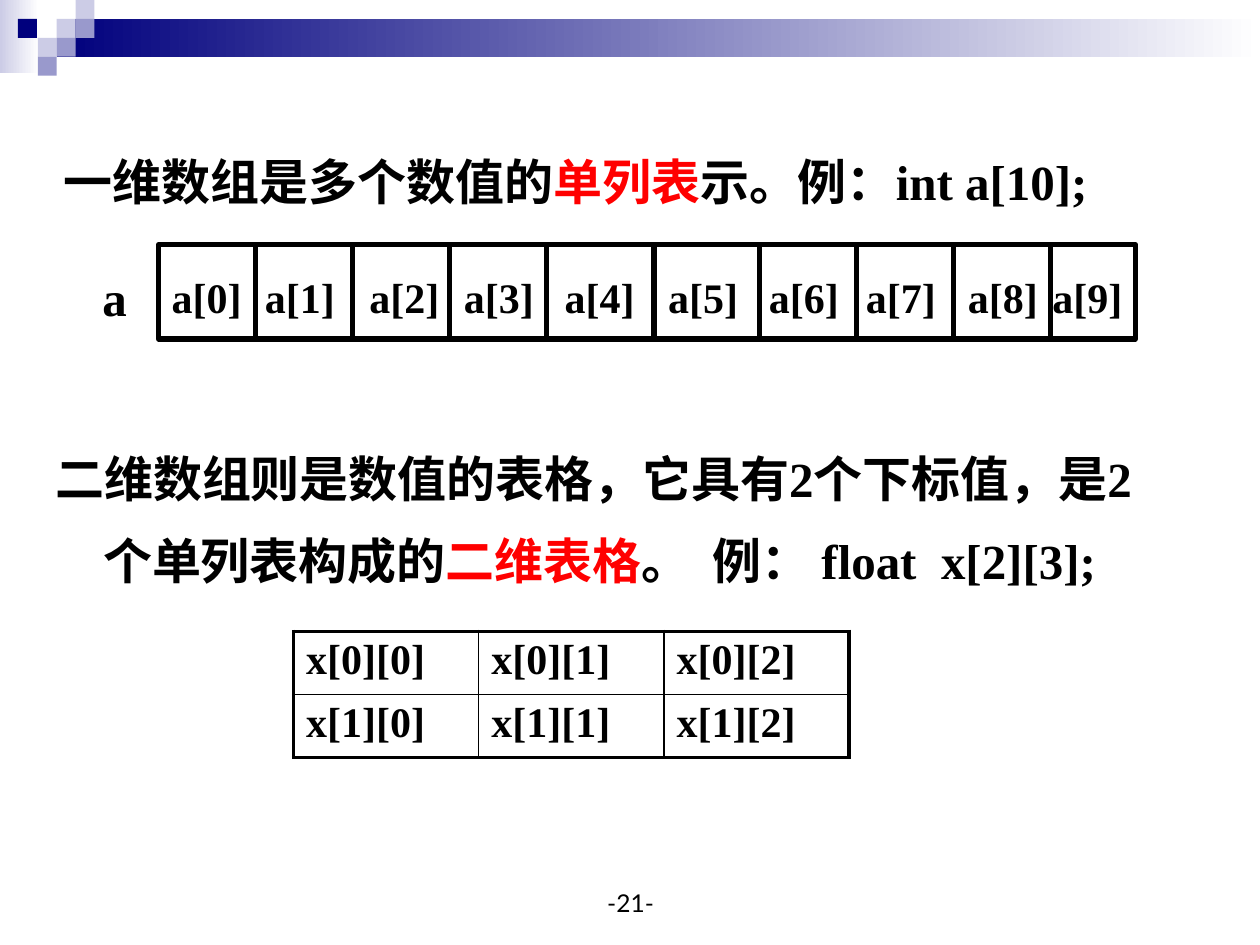
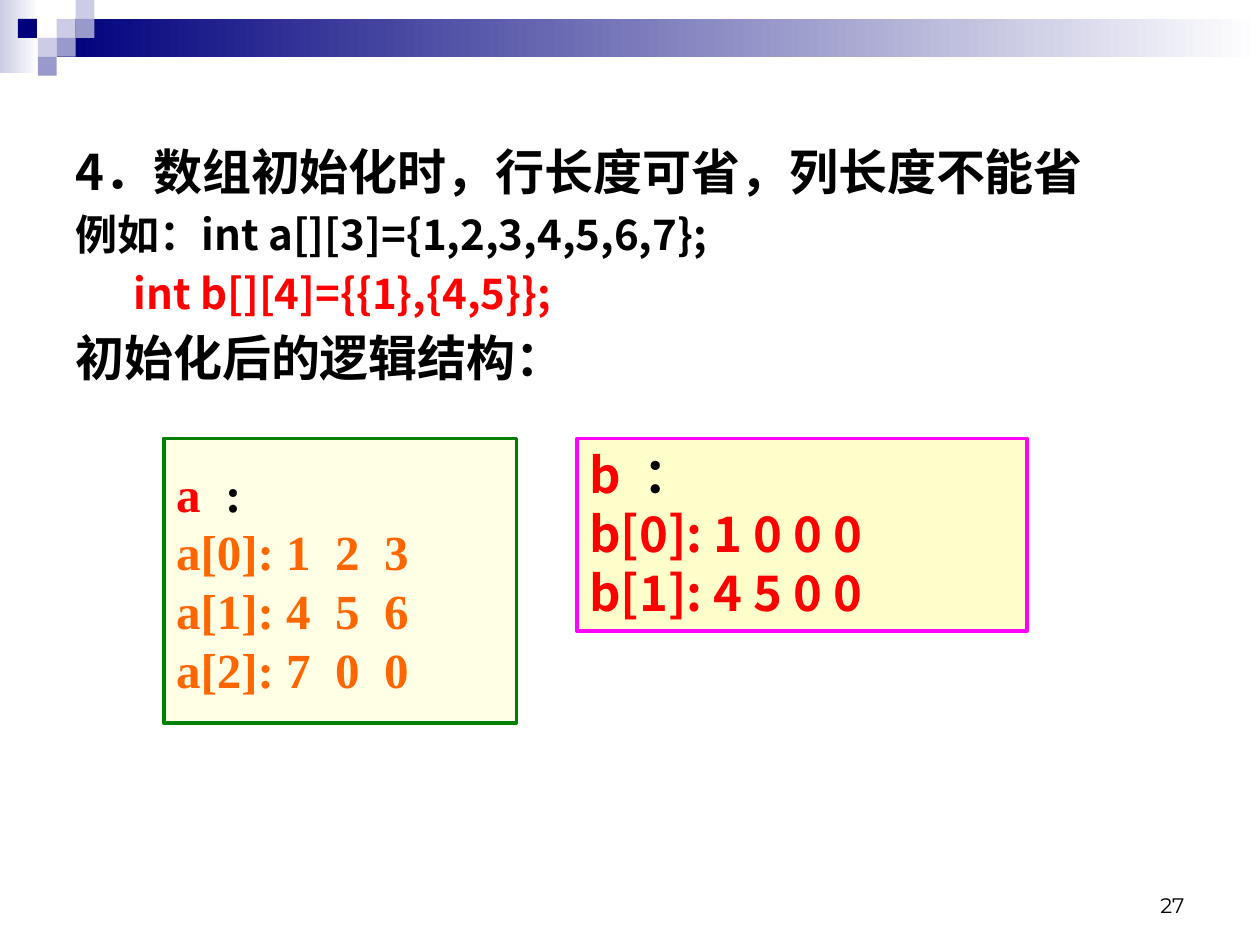
from itertools import accumulate

from lxml.etree import SubElement
from pptx import Presentation
from pptx.dml.color import RGBColor
from pptx.enum.shapes import MSO_CONNECTOR, MSO_SHAPE
from pptx.enum.text import MSO_ANCHOR, PP_ALIGN
from pptx.oxml.ns import qn
from pptx.util import Inches, Pt

BLACK = RGBColor(0, 0, 0)
WHITE = RGBColor(255, 255, 255)
RED = RGBColor(255, 0, 0)
ORANGE = RGBColor(255, 0x66, 0)
GREEN = RGBColor(0, 0x80, 0)
MAGENTA = RGBColor(255, 0, 255)
CREAM = RGBColor(255, 255, 0xCC)
YELLOW = RGBColor(255, 255, 0x99)
NAVY = RGBColor(0, 0, 0x7D)
LAVENDER = RGBColor(0xCC, 0xCC, 0xE6)
PERIWINKLE = RGBColor(0x99, 0x99, 0xCC)

SERIF, SANS = "Times New Roman", "Noto Sans CJK SC"

# The slide is a grid of 100 columns by 75 rows of square cells
COLS, ROWS = 100, 75
CELL = 0.1
TILE = 1.5
HANGING = (3.8, -3.8)


def grid(*values):
    return [Inches(v * CELL) for v in values]


# Text
def add_run(p, text, size=28, font=SERIF, color=BLACK, bold=True):
    r = p.add_run()
    r.text = text
    r.font.size, r.font.bold, r.font.name = Pt(size), bold, font
    r.font.color.rgb = color
    SubElement(r._r.get_or_add_rPr(), qn("a:ea")).set("typeface", SANS)


def add_text(tf, text, first=False, align=PP_ALIGN.LEFT, indent=None,
             spacing=None, before=0, **fmt):
    """Add a paragraph; text is a string or a list of (string, format) runs."""
    p = tf.paragraphs[0] if first else tf.add_paragraph()
    p.alignment = align
    if spacing:
        p.line_spacing = spacing
    p.space_before = Pt(before)
    if indent:
        left, hang = grid(*indent)
        pPr = p._p.get_or_add_pPr()
        pPr.set("marL", str(left))
        pPr.set("indent", str(hang))
    runs = [(text, {})] if isinstance(text, str) else text
    for words, own in runs:
        add_run(p, words, **{**fmt, **own})


def text_box(s, box, anchor=MSO_ANCHOR.TOP, wrap=True):
    tf = s.shapes.add_textbox(*grid(*box)).text_frame
    tf.word_wrap, tf.vertical_anchor = wrap, anchor
    return tf


# Shapes
def add_rect(s, box, fill=None, line=None, width=2, fade=False, alpha=None):
    sp = s.shapes.add_shape(MSO_SHAPE.RECTANGLE, *grid(*box))
    sp.shadow.inherit = False
    if fill is None:
        sp.fill.background()
    elif fade:
        sp.fill.gradient()
        sp.fill.gradient_angle = 0
        for stop, color in zip(sp.fill.gradient_stops, (fill, WHITE)):
            stop.color.rgb = color
    else:
        sp.fill.solid()
        sp.fill.fore_color.rgb = fill
        if alpha:
            clr = sp._element.spPr.find(".//" + qn("a:srgbClr"))
            SubElement(clr, qn("a:alpha")).set("val", str(alpha * 1000))
    if line is None:
        sp.line.fill.background()
    else:
        sp.line.color.rgb, sp.line.width = line, Pt(width)
    return sp


def add_divider(s, x, top, height, width=3):
    cn = s.shapes.add_connector(MSO_CONNECTOR.STRAIGHT,
                                *grid(x, top, x, top + height))
    cn.line.color.rgb, cn.line.width = BLACK, Pt(width)
    SubElement(cn._element.spPr, qn("a:effectLst"))


# Shared header: fading band with a mosaic of tiles
def add_header(s):
    add_rect(s, (0, 0, 3.1, 5.8), LAVENDER, fade=True)
    add_rect(s, (3 * TILE, TILE, COLS - 3 * TILE, 2 * TILE), NAVY, fade=True)
    tiles = [(3, 1, LAVENDER), (4, 0, LAVENDER), (4, 1, PERIWINKLE),
             (2, 2, LAVENDER), (0.95, 1, NAVY), (3, 2, PERIWINKLE),
             (2, 3, PERIWINKLE)]
    for col, row, color in tiles:
        add_rect(s, (col * TILE, row * TILE, TILE, TILE), color)


def add_page_number(s, text, left, width, align, **fmt):
    tf = text_box(s, (left, 68.3, width, 5), MSO_ANCHOR.BOTTOM)
    add_text(tf, text, first=True, align=align, bold=False, **fmt)


def new_slide(prs):
    s = prs.slides.add_slide(prs.slide_layouts[6])
    add_header(s)
    return s


# One-dimensional array: a strip of ten cells with its name on the left
def add_array_strip(s, box):
    left, top, width, height = box
    add_rect(s, box, line=BLACK, width=3)
    cell_widths = [7.7] * 4 + [8.5, 8.4] + [7.7] * 3
    for x in accumulate(cell_widths):
        add_divider(s, left + x, top, height)
    label_lefts = [0, 7.4, 15.7, 23.2, 31.2, 39.4, 47.4, 55.1, 63.2, 69.9]
    labels = [(x, 7.6, f"a[{i}]", 24) for i, x in enumerate(label_lefts)]
    for x, w, text, size in labels + [(-5.5, 4, "a", 28)]:
        tf = text_box(s, (left + x, top + 1.6, w, 5.1), MSO_ANCHOR.MIDDLE, False)
        add_text(tf, text, first=True, align=PP_ALIGN.CENTER, size=size)


# Two-dimensional array: thin rules inside, thick rules outside
def set_borders(cell, **widths):
    tcPr = cell._tc.get_or_add_tcPr()
    for side in "LRTB":
        ln = SubElement(tcPr, qn(f"a:ln{side}"), w=str(Pt(widths[side])))
        fill = SubElement(ln, qn("a:solidFill"))
        SubElement(fill, qn("a:srgbClr"), val=str(BLACK))
    cell.fill.background()


def add_index_table(s, box, rows=2, cols=3, thick=2.25, thin=1):
    table = s.shapes.add_table(rows, cols, *grid(*box)).table
    table.first_row = table.horz_banding = False
    for i in range(rows):
        for j in range(cols):
            cell = table.cell(i, j)
            add_text(cell.text_frame, f"x[{i}][{j}]", first=True,
                     size=24, before=4.8)
            set_borders(cell, L=thin if j else thick, T=thin if i else thick,
                        R=thin if j < cols - 1 else thick,
                        B=thin if i < rows - 1 else thick)


def array_slide(prs):
    s = new_slide(prs)
    para = dict(first=True, indent=HANGING, spacing=1.4, before=5.6)
    add_page_number(s, "-21-", 34.2, 31.7, PP_ALIGN.CENTER, size=14, font="Lato")
    add_text(text_box(s, (4.1, 9.7, 87.4, 7.3)),
             [("一维数组是多个数值的", {}), ("单列表", {"color": RED}),
              ("示。例：int a[10];", {})], **para)
    add_index_table(s, (23.3, 50.1, 44.1, 9.4))
    add_array_strip(s, (12.6, 19.4, 77.5, 7.5))
    add_text(text_box(s, (3.4, 33.2, 90.5, 15.7)),
             [("二维数组则是数值的表格，它具有2个下标值，是2个单列表构成的", {}),
              ("二维表格", {"color": RED}),
              ("。  例： float  x[2][3];", {})], **para)


# Outlined box listing the values of an array
def add_value_box(s, box, fill, line, heading, rows, color, font, wrap,
                  anchor=MSO_ANCHOR.MIDDLE):
    tf = add_rect(s, box, fill, line, alpha=50).text_frame
    tf.word_wrap, tf.vertical_anchor = wrap, anchor
    name, colon = heading
    add_text(tf, [(name, {"color": RED}), (colon, {})], first=True, font=font)
    for row in rows:
        add_text(tf, row, color=color, font=font)


def initialisation_slide(prs):
    s = new_slide(prs)
    add_page_number(s, "27", 71.7, 23.3, PP_ALIGN.RIGHT, size=12,
                    font="Montserrat")
    lines = [
        ("4．数组初始化时，行长度可省，列长度不能省", 28, BLACK, HANGING),
        ("例如：int a[][3]={1,2,3,4,5,6,7};", 24, BLACK, HANGING),
        ("int b[][4]={{1},{4,5}};", 24, RED, (8.4, -3.8)),
        ("初始化后的逻辑结构：", 28, BLACK, HANGING),
    ]
    tf = text_box(s, (5, 10.7, 90, 21.2))
    for i, (text, size, color, indent) in enumerate(lines):
        add_text(tf, text, first=i == 0, indent=indent, before=size * 0.2,
                 size=size, color=color, font=SANS)
    add_value_box(s, (13, 34.8, 28, 22.6), CREAM, GREEN, ("a  ", ":"),
                  ["a[0]: 1  2  3", "a[1]: 4  5  6", "a[2]: 7  0  0"],
                  ORANGE, SERIF, wrap=False)
    add_value_box(s, (45.8, 34.8, 35.7, 15.3), YELLOW, MAGENTA, ("b ", " ："),
                  ["b[0]: 1 0 0 0", "b[1]: 4 5 0 0"], RED, SANS, wrap=True,
                  anchor=MSO_ANCHOR.TOP)


def main():
    prs = Presentation()
    prs.slide_width, prs.slide_height = grid(COLS, ROWS)
    array_slide(prs)
    initialisation_slide(prs)
    prs.save("out.pptx")


if __name__ == "__main__":
    main()
